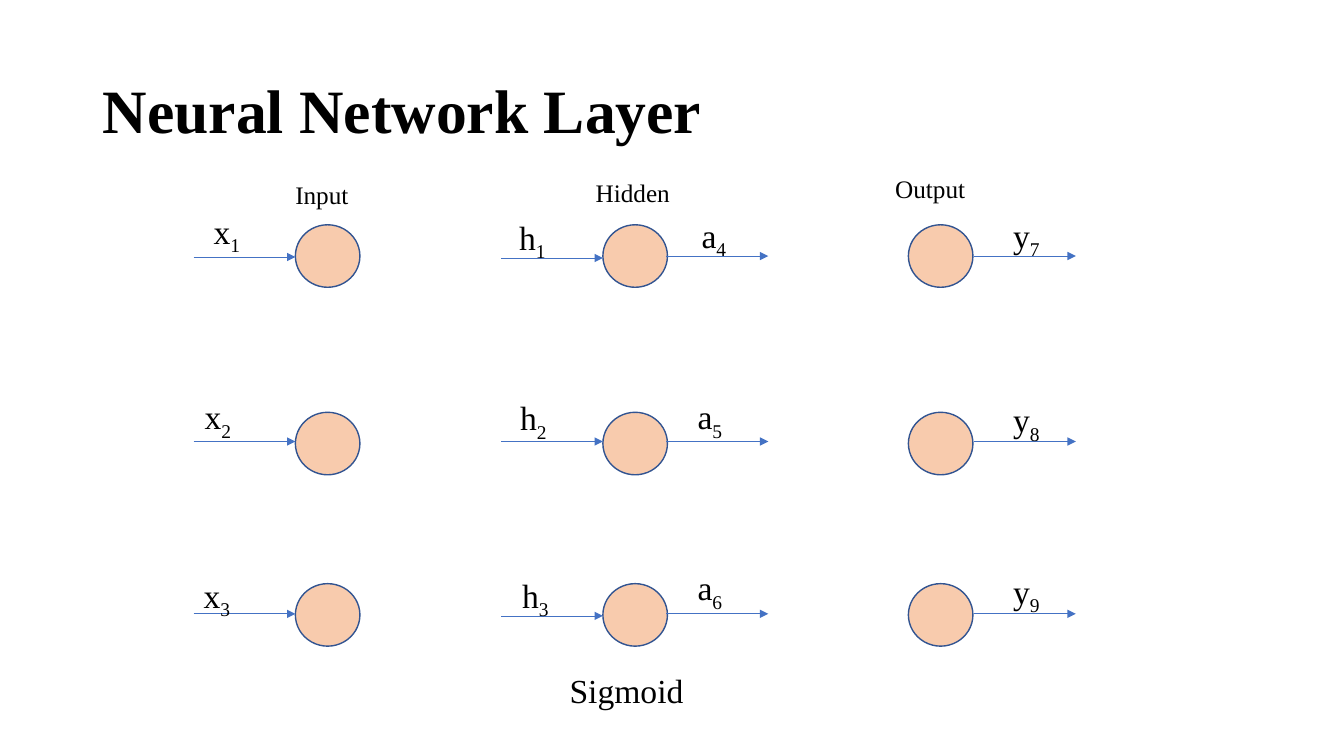
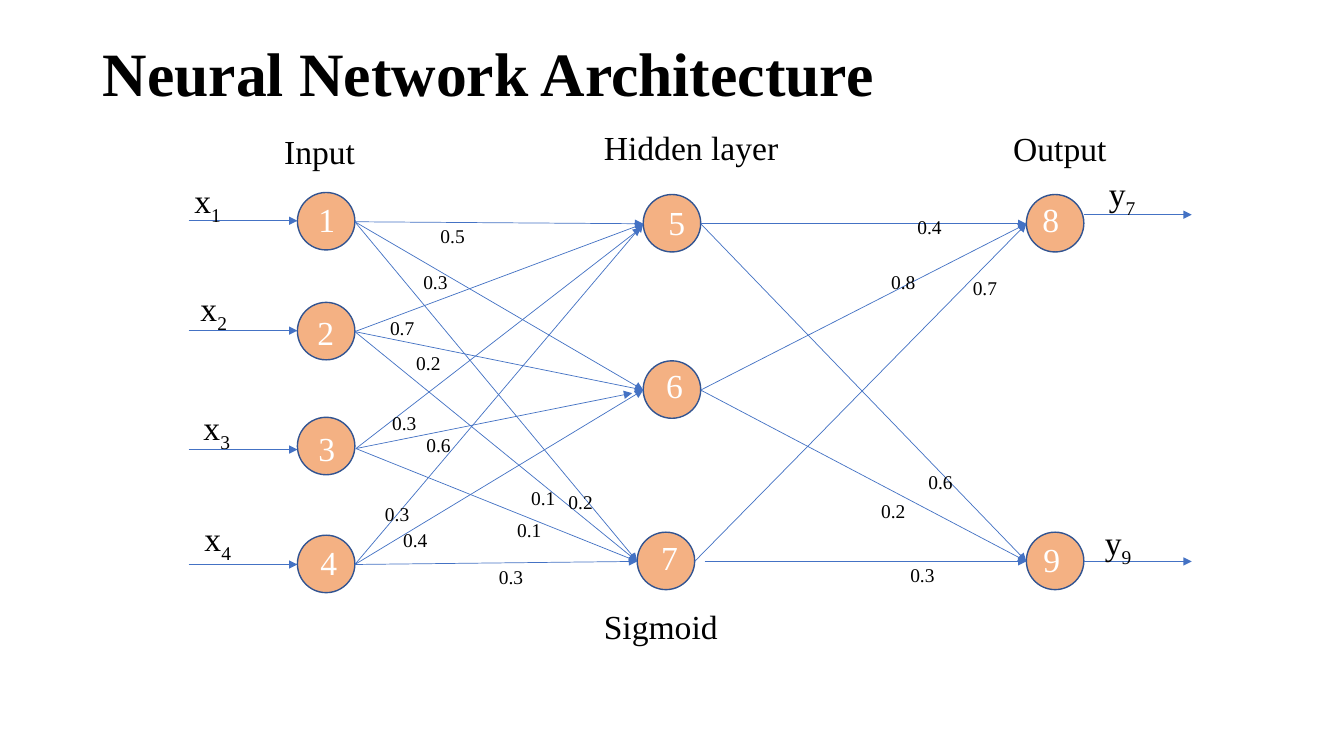
from lxml.etree import SubElement
from pptx import Presentation
from pptx.dml.color import RGBColor
from pptx.enum.shapes import MSO_CONNECTOR, MSO_SHAPE
from pptx.enum.text import MSO_ANCHOR
from pptx.oxml.ns import qn
from pptx.util import Emu, Pt

EMU_PER_PX = 9144  # 100 px to the inch
FONT = "Times New Roman"
COLORS = {
    "text": "000000",
    "number": "FFFFFF",
    "outline": "325491",
    "arrow": "4472C4",
    "pale node": "F8CBAD",
    "node": "F4B183",
}


def px(length):
    return Emu(length * EMU_PER_PX)


def color(name):
    return RGBColor.from_string(COLORS[name])


def add_span(para, text, size=24, fill="text", bold=False, subscript=False):
    span = para.add_run()
    span.text = text
    span.font.name = FONT
    span.font.size = Pt(size)
    span.font.bold = bold
    span.font.color.rgb = color(fill)
    if subscript:
        span._r.get_or_add_rPr().set("baseline", "-25000")


class NetworkDeck:
    """Holds the deck, its style and the current slide."""

    def __init__(self):
        self.deck = Presentation()
        self.deck.slide_width, self.deck.slide_height = px(1333), px(750)
        self.page = None

    def text_box(self, left, top, width, height):
        box = self.page.shapes.add_textbox(px(left), px(top), px(width), px(height))
        box.text_frame.word_wrap = True
        return box.text_frame

    def new_page(self, title, title_height):
        self.page = self.deck.slides.add_slide(self.deck.slide_layouts[6])
        frame = self.text_box(92, 40, 1150, title_height)
        frame.vertical_anchor = MSO_ANCHOR.MIDDLE
        para = frame.paragraphs[0]
        para.line_spacing = 0.9
        add_span(para, title, size=44, bold=True)

    def label(self, text, left, top, width, height=50, **style):
        frame = self.text_box(left, top, width, height)
        add_span(frame.paragraphs[0], text, **style)

    def node(self, left, top, width, height, fill):
        circle = self.page.shapes.add_shape(
            MSO_SHAPE.OVAL, px(left), px(top), px(width), px(height))
        circle.shadow.inherit = False
        circle.fill.solid()
        circle.fill.fore_color.rgb = color(fill)
        circle.line.color.rgb = color("outline")
        circle.line.width = Pt(1)

    def arrow(self, start, end):
        connector = self.page.shapes.add_connector(
            MSO_CONNECTOR.STRAIGHT, *map(px, start + end))
        connector.line.color.rgb = color("arrow")
        connector.line.width = Pt(0.5)
        properties = connector._element.spPr
        SubElement(properties.find(qn("a:ln")), qn("a:tailEnd"), type="triangle")
        SubElement(properties, qn("a:effectLst"))

    def signals(self, letter, left, length, label_width, rows):
        """Arrows that carry a letter with a subscript number."""
        for number, label_left, label_top, y in rows:
            self.arrow((left, y), (left + length, y))
            para = self.text_box(label_left, label_top, label_width, 50).paragraphs[0]
            add_span(para, letter)
            add_span(para, number, subscript=True)


def build_layers(network):
    network.new_page("Neural Network Layer", title_height=145)

    # Layer names and a three by three grid of nodes
    for name, left, top in [("Input", 283, 173), ("Hidden", 581, 171), ("Output", 878, 167)]:
        network.label(name, left, top, 148, 40, size=18)
    for left in (293, 598, 901):
        for top in (223, 409, 579):
            network.node(left, top, 64, 62, "pale node")

    # Signals: number, label left, label top, arrow height
    columns = [
        ("x", 192, [("1", 202, 204, 255), ("2", 193, 388, 438), ("3", 192, 565, 609)]),
        ("h", 497, [("1", 505, 210, 256), ("2", 506, 389, 438), ("3", 508, 565, 611)]),
        ("a", 661, [("4", 686, 208, 254), ("5", 682, 388, 438), ("6", 682, 558, 609)]),
        ("y", 966, [("7", 995, 208, 254), ("8", 995, 391, 438), ("9", 995, 561, 609)]),
    ]
    for letter, left, rows in columns:
        network.signals(letter, left, 101, 91, rows)
    network.label("Sigmoid", 555, 660, 255)


def build_architecture(network):
    network.new_page("Neural Network Architecture", title_height=72)
    size = 57

    # Node number: node left and top, number left and top
    layers = [
        {1: (295, 191, 306, 192), 2: (295, 300, 305, 305),
         3: (295, 414, 306, 420), 4: (295, 531, 308, 533)},
        {5: (638, 193, 653, 195), 6: (638, 358, 651, 357), 7: (632, 528, 646, 528)},
        {8: (1018, 193, 1024, 192), 9: (1018, 528, 1025, 530)},
    ]
    for layer in layers:
        for left, top, _, _ in layer.values():
            network.node(left, top, size, size, "node")

    # Every node feeds every node of the next layer; a few ends stand apart
    special_starts = {(3, 5): (353, 445), (3, 6): (353, 445),
                      (3, 7): (353, 445), (7, 9): (699, 557)}
    special_ends = {(3, 5): (636, 226), (3, 6): (627, 390)}
    for sources, targets in zip(layers, layers[1:]):
        for source, (left, top, _, _) in sources.items():
            for target, (end_left, end_top, _, _) in targets.items():
                edge = (source, target)
                network.arrow(
                    special_starts.get(edge, (left + size, top + size // 2 + 1)),
                    special_ends.get(edge, (end_left, end_top + size // 2 + 1)))

    # Node numbers
    for layer in layers:
        for number, (_, _, left, top) in layer.items():
            network.label(str(number), left, top, 47, fill="number")

    # Signals into and out of the network
    network.signals("x", 187, 108, 116, [
        ("1", 183, 174, 219), ("2", 189, 281, 328),
        ("3", 192, 399, 446), ("4", 193, 509, 560)])
    network.signals("y", 1075, 107, 116, [("7", 1090, 167, 213), ("9", 1086, 513, 557)])

    # Weights
    weights = [
        ("0.5", 427, 195), ("0.3", 410, 241), ("0.7", 377, 286), ("0.2", 403, 321),
        ("0.3", 379, 381), ("0.6", 413, 402), ("0.3", 372, 471), ("0.4", 390, 497),
        ("0.1", 517, 455), ("0.2", 554, 459), ("0.1", 503, 487), ("0.3", 485, 533),
        ("0.4", 900, 186), ("0.8", 874, 241), ("0.7", 955, 247),
        ("0.6", 911, 439), ("0.2", 864, 468), ("0.3", 893, 531),
    ]
    for weight, left, top in weights:
        network.label(weight, left, top, 116, 37, subscript=True)

    # Layer names and activation
    for name, left, top, width in [
            ("Input", 272, 125, 194), ("Hidden layer", 589, 121, 208),
            ("Output", 995, 122, 194), ("Sigmoid", 589, 596, 208)]:
        network.label(name, left, top, width)


def main():
    network = NetworkDeck()
    build_layers(network)
    build_architecture(network)
    network.deck.save("out.pptx")


if __name__ == "__main__":
    main()
